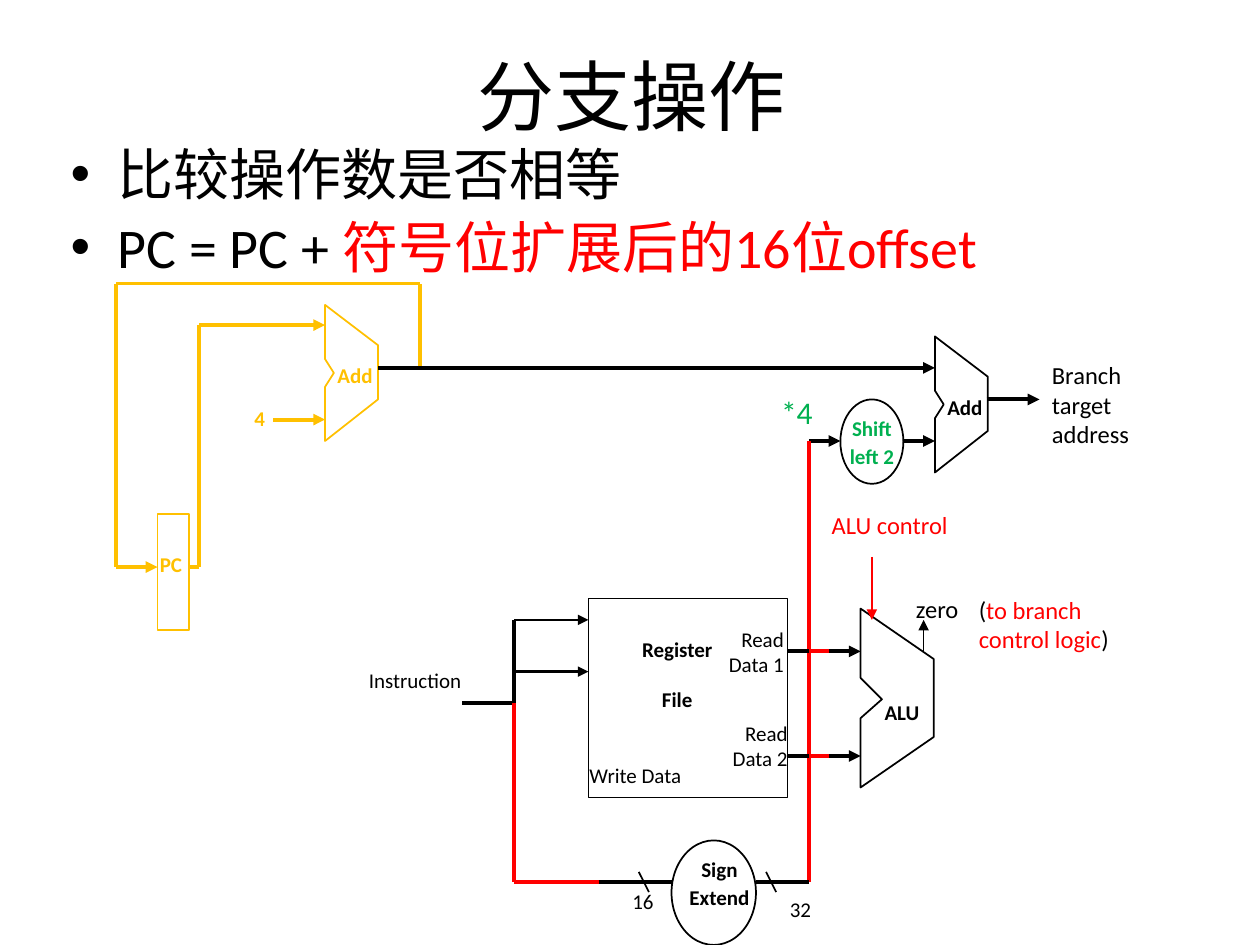
from itertools import pairwise

from lxml.etree import SubElement
from pptx import Presentation
from pptx.dml.color import RGBColor
from pptx.enum.shapes import MSO_CONNECTOR, MSO_SHAPE
from pptx.enum.text import MSO_ANCHOR, PP_ALIGN
from pptx.oxml.ns import qn
from pptx.util import Inches, Pt

COLORS = {"black": "000000", "red": "FF0000", "amber": "FFC000", "green": "00B050"}
ADDER = [(0, 0), (0.42, 0.32), (0.42, 0.75), (0, 1.08), (0, 0.65), (0.07, 0.54), (0, 0.43)]
ALU = [(0, 0), (0, 0.55), (0.17, 0.72), (0, 0.87), (0, 1.42), (0.58, 1.02), (0.58, 0.4)]


class Diagram:
    font = "Calibri"
    thick, medium, thin = 2.25, 1.5, 1

    def __init__(self, slide):
        self.slide = slide
        self.shapes = slide.shapes

    def rgb(self, color):
        return RGBColor.from_string(COLORS[color])

    def place(self, shape, box):
        shape.left, shape.top, shape.width, shape.height = map(Inches, box)

    def format(self, font, size, color, bold=False):
        font.name, font.size, font.bold = self.font, Pt(size), bold
        font.color.rgb = self.rgb(color)

    def title(self, text, box):
        title = self.shapes.title
        self.place(title, box)
        title.text_frame.text = text
        title.text_frame.vertical_anchor = MSO_ANCHOR.MIDDLE
        heading = title.text_frame.paragraphs[0]
        heading.alignment = PP_ALIGN.CENTER
        self.format(heading.font, 44, "black")

    def runs(self, paragraph, parts, size):
        for text, color in parts:
            run = paragraph.add_run()
            run.text = text
            self.format(run.font, size, color)

    def bullets(self, items, box):
        body = self.slide.placeholders[1]
        self.place(body, box)
        frame = body.text_frame
        for index, parts in enumerate(items):
            paragraph = frame.add_paragraph() if index else frame.paragraphs[0]
            paragraph.space_before = Pt(3.2)
            self.runs(paragraph, parts, 32)

    def label(self, lines, box, color="black", size=12, bold=False, align=PP_ALIGN.LEFT,
              tight=False, wrap=False, leading=None, before=0):
        frame = self.shapes.add_textbox(*map(Inches, box)).text_frame
        frame.word_wrap = wrap
        if tight:
            frame.margin_left = frame.margin_right = Inches(0.02)
            frame.margin_top = frame.margin_bottom = Inches(0.03)
        for index, line in enumerate(lines):
            paragraph = frame.add_paragraph() if index else frame.paragraphs[0]
            paragraph.alignment = align
            paragraph.space_before = Pt(before)
            if leading:
                paragraph.line_spacing = Pt(leading)
            if isinstance(line, str):
                paragraph.text = line
                self.format(paragraph.font, size, color, bold)
            else:
                self.runs(paragraph, line, size)

    def outline(self, shape, color):
        shape.shadow.inherit = False
        shape.fill.background()
        shape.line.color.rgb = self.rgb(color)
        shape.line.width = Pt(self.thin)

    def block(self, kind, box, color="black"):
        self.outline(self.shapes.add_shape(kind, *map(Inches, box)), color)

    def polygon(self, points, left, top, color="black"):
        corners = [(Inches(left + x), Inches(top + y)) for x, y in points]
        builder = self.shapes.build_freeform(*corners[0])
        builder.add_line_segments(corners[1:], close=True)
        self.outline(builder.convert_to_shape(), color)

    def wire(self, points, color="black", width=thick, arrow=False):
        for start, end in pairwise(points):
            segment = self.shapes.add_connector(
                MSO_CONNECTOR.STRAIGHT, *map(Inches, start + end))
            segment.line.color.rgb = self.rgb(color)
            segment.line.width = Pt(width)
            properties = segment.element.spPr
            if arrow and end == points[-1]:
                SubElement(properties.find(qn("a:ln")), qn("a:tailEnd"), type="triangle")
            SubElement(properties, qn("a:effectLst"))


def draw_next_pc(diagram):
    diagram.polygon(ADDER, 2.58, 2.42, "amber")
    diagram.block(MSO_SHAPE.RECTANGLE, (1.25, 4.08, 0.25, 0.92), "amber")
    diagram.wire([(1.5, 4.5), (1.58, 4.5), (1.58, 2.58), (2.58, 2.58)], "amber", arrow=True)
    diagram.wire([(2.17, 3.33), (2.58, 3.33)], "amber", arrow=True)
    diagram.wire([(3.33, 2.92), (3.33, 2.25), (0.92, 2.25), (0.92, 4.5), (1.25, 4.5)],
                 "amber", arrow=True)
    for text, box in [("Add", (2.58, 2.83, 0.49, 0.3)), ("PC", (1.17, 4.33, 0.38, 0.3)),
                      ("4", (1.92, 3.17, 0.29, 0.3))]:
        diagram.label([text], box, "amber", bold=True)


def draw_branch_target(diagram):
    diagram.block(MSO_SHAPE.OVAL, (6.67, 3.17, 0.5, 0.67))
    diagram.polygon(ADDER, 7.42, 2.67)
    for start, end in [((3, 2.92), (7.42, 2.92)), ((6.42, 3.5), (6.67, 3.5)),
                       ((7.17, 3.5), (7.42, 3.5)), ((7.83, 3.17), (8.25, 3.17))]:
        diagram.wire([start, end], arrow=True)
    diagram.label(["Shift", "left 2"], (6.67, 3.25, 0.5, 0.5), "green", bold=True,
                  align=PP_ALIGN.CENTER, tight=True, leading=16)
    diagram.label(["Add"], (7.42, 3.08, 0.53, 0.3), bold=True)
    diagram.label(["Branch", "target", "address"], (8.25, 2.81, 0.89, 0.8), size=14)
    diagram.label(["*4"], (6.1, 3.07, 0.65, 0.4), "green", 18, wrap=True)


def draw_registers(diagram):
    diagram.block(MSO_SHAPE.RECTANGLE, (4.67, 4.75, 1.58, 1.58))
    for y in (4.92, 5.33):
        diagram.wire([(4.08, y), (4.67, y)], width=diagram.medium, arrow=True)
    diagram.wire([(3.67, 5.58), (4.08, 5.58), (4.08, 4.92)])
    diagram.label(["Instruction"], (2.83, 5.25, 0.97, 0.3))
    diagram.label(["Write Data"], (4.58, 6, 0.99, 0.3))
    diagram.label(["Register"], (4.94, 5, 0.87, 0.3), bold=True, align=PP_ALIGN.CENTER)
    diagram.label(["File"], (4.94, 5.4, 0.87, 0.3), bold=True, align=PP_ALIGN.CENTER)
    for port, left, top in [("Data 1", 5.58, 4.92), ("Data 2", 5.61, 5.67)]:
        diagram.label(["Read", port], (left, top, 0.74, 0.5), align=PP_ALIGN.RIGHT)


def draw_sign_extend(diagram):
    diagram.block(MSO_SHAPE.OVAL, (5.33, 6.67, 0.67, 0.83))
    diagram.wire([(4.08, 5.58), (4.08, 7), (4.83, 7)], "red")
    diagram.wire([(6.42, 3.5), (6.42, 7)], "red")
    diagram.wire([(4.75, 7), (5.33, 7)])
    diagram.wire([(6, 7), (6.42, 7)])
    for slash, bits, box in [(5.07, "16", (4.92, 7, 0.39, 0.3)),
                             (6.08, "32", (6.17, 7.07, 0.39, 0.3))]:
        diagram.wire([(slash, 6.92), (slash + 0.08, 7.08)], width=diagram.thin)
        diagram.label([bits], box)
    diagram.label(["Sign", "Extend"], (5.42, 6.75, 0.58, 0.5), bold=True,
                  align=PP_ALIGN.CENTER, tight=True, leading=16)


def draw_alu(diagram):
    diagram.polygon(ALU, 6.83, 4.83)
    for y in (5.17, 6):
        diagram.wire([(6.33, y), (6.58, y)], "red")
        diagram.wire([(6.58, y), (6.83, y)], arrow=True)
        diagram.wire([(6.25, y), (6.42, y)])
    diagram.wire([(6.92, 4.42), (6.92, 4.92)], "red", diagram.medium, arrow=True)
    diagram.wire([(7.33, 5.17), (7.33, 4.92)], width=diagram.thin, arrow=True)
    diagram.label(["ALU"], (7, 5.5, 0.55, 0.36), bold=True, tight=True, leading=16)
    diagram.label(["ALU control"], (6.58, 4, 1.01, 0.36), "red", 14,
                  tight=True, leading=18, before=6)
    diagram.label(["zero"], (7.25, 4.67, 0.5, 0.33), size=14,
                  tight=True, leading=18, before=6)
    diagram.label([[("(", "black"), ("to branch control logic", "red"), (")", "black")]],
                  (7.67, 4.67, 1.5, 0.57), size=14, wrap=True)


def main():
    deck = Presentation()
    deck.slide_width, deck.slide_height = Inches(10), Inches(7.5)
    diagram = Diagram(deck.slides.add_slide(deck.slide_layouts[1]))
    diagram.title("分支操作", (0.51, 0.13, 9, 1.25))
    diagram.bullets([[("比较操作数是否相等", "black")],
                     [("PC = PC + ", "black"), ("符号位扩展后的16位offset", "red")]],
                    (0.46, 1.06, 9.17, 1.19))
    draw_registers(diagram)
    draw_next_pc(diagram)
    draw_branch_target(diagram)
    draw_sign_extend(diagram)
    draw_alu(diagram)
    deck.save("out.pptx")


if __name__ == "__main__":
    main()
